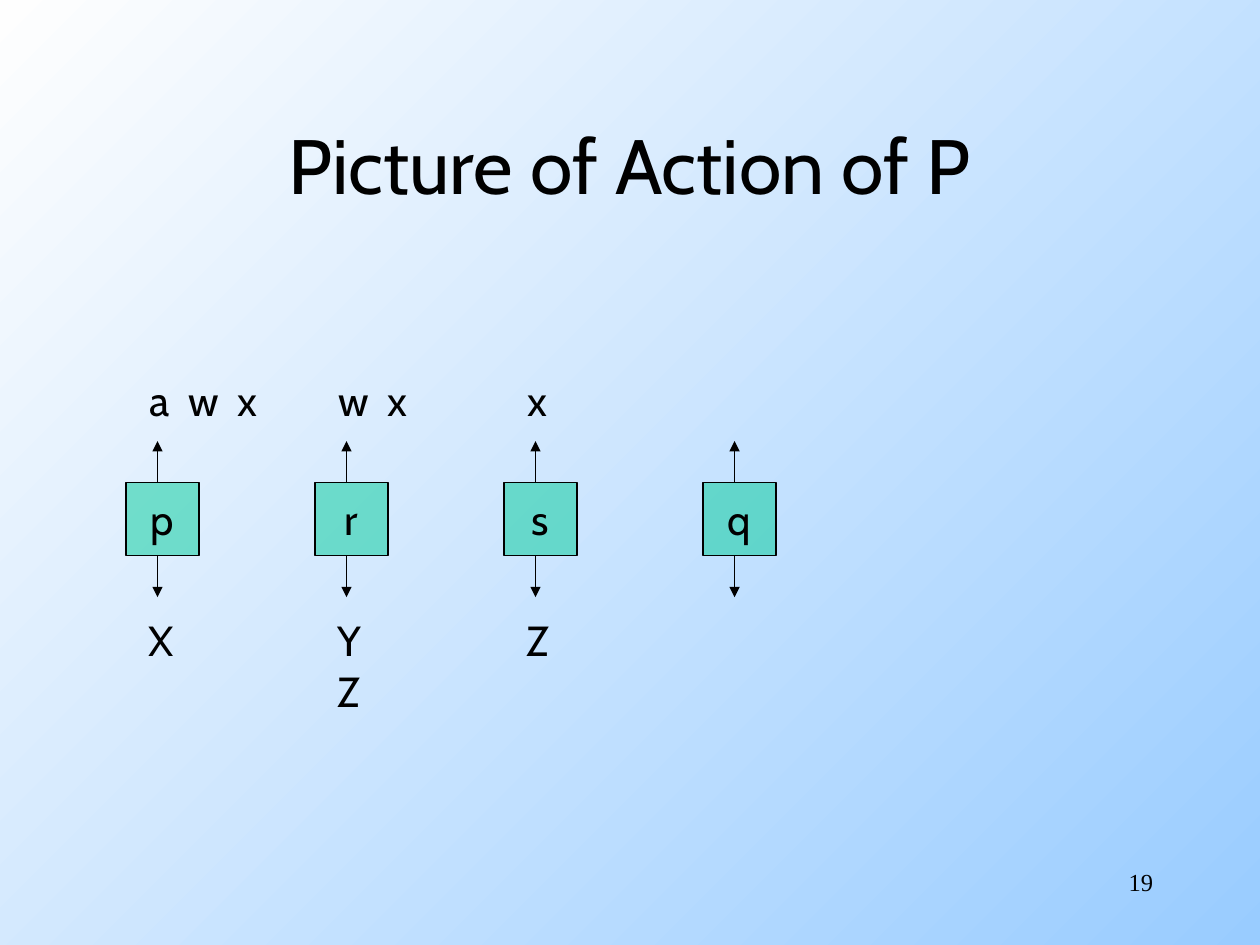
from itertools import accumulate

from lxml.etree import SubElement
from pptx import Presentation
from pptx.dml.color import RGBColor as Color
from pptx.enum.shapes import MSO_CONNECTOR as Connector, MSO_SHAPE as Shape
from pptx.enum.text import MSO_ANCHOR as Anchor, PP_ALIGN as Align
from pptx.oxml.ns import qn
from pptx.util import Inches, Pt

COLORS = {"ink": "000000", "state": "00CC99", "sky": "99CCFF", "light": "FEFEFE"}
LETTER_STEP = {"a": 0.31, "w": 0.39}
STATES = [
    (1, "p", "awx", "X"),
    (2.5, "r", "wx", "YZ"),
    (4, "s", "x", "Z"),
    (5.58, "q", "", ""),
]


def color(name):
    """Return the named palette colour."""
    return Color.from_string(COLORS[name])


def style(para, size, font="Cabin", align=Align.LEFT):
    """Format a paragraph and its runs."""
    para.alignment = align
    for span in para.runs:
        span.font.size = Pt(size)
        span.font.name = font
        span.font.color.rgb = color("ink")


def add_text(shapes, bounds, lines, size, font="Cabin", align=Align.LEFT, anchor=Anchor.TOP):
    """Add a text box with one paragraph per line."""
    box = shapes.add_textbox(*map(Inches, bounds))
    frame = box.text_frame
    frame.word_wrap = True
    frame.vertical_anchor = anchor
    frame.text = "\n".join(lines)
    for para in frame.paragraphs:
        style(para, size, font, align)
    return box


def add_arrow(shapes, x, start, end):
    """Add a vertical arrow."""
    arrow = shapes.add_connector(
        Connector.STRAIGHT, Inches(x), Inches(start), Inches(x), Inches(end))
    arrow.line.color.rgb = color("ink")
    arrow.line.width = Pt(0.75)
    SubElement(arrow.line._get_or_add_ln(), qn("a:tailEnd"), type="triangle")
    SubElement(arrow._element.spPr, qn("a:effectLst"))


def add_input(shapes, left, top, letters):
    """Add the remaining input, its letters set apart by tab stops."""
    box = add_text(shapes, (left, top, 1.17, 0.5), ["\t".join(letters)], 24)
    stops = SubElement(box.text_frame.paragraphs[0]._p.get_or_add_pPr(), qn("a:tabLst"))
    for position in accumulate(LETTER_STEP[letter] for letter in letters[:-1]):
        SubElement(stops, qn("a:tab"), pos=str(Inches(position)), algn="l")


def add_state(page, left, top, name, letters, stack):
    """Add a state square with its input above and its stack below."""
    side, reach = 0.58, 0.33
    shapes = page.shapes.add_group_shape().shapes
    square = shapes.add_shape(Shape.RECTANGLE, *map(Inches, (left, top, side, side)))
    square.shadow.inherit = False
    square.fill.solid()
    square.fill.fore_color.rgb = color("state")
    tint = square._element.spPr.find(".//" + qn("a:srgbClr"))
    SubElement(tint, qn("a:alpha"), val="50000")
    square.line.color.rgb = color("ink")
    square.line.width = Pt(0.75)
    frame = square.text_frame
    frame.word_wrap = False
    frame.vertical_anchor = Anchor.MIDDLE
    frame.text = name
    style(frame.paragraphs[0], 24, align=Align.CENTER)

    add_arrow(shapes, left + 0.25, top + side, top + side + reach)
    add_arrow(shapes, left + 0.25, top, top - reach)
    if letters:
        add_input(shapes, left + 0.09, top - 0.91, letters)
    if stack:
        height = 0.1 + 0.4 * len(stack)
        add_text(shapes, (left + 0.08, top + 1, 0.45, height), stack, 24)


def add_background(page):
    """Fill the page with a diagonal gradient."""
    fill = page.background.fill
    fill.gradient()
    fill.gradient_angle = 135
    for stop, name, position in zip(fill.gradient_stops, ("sky", "light"), (0, 1)):
        stop.color.rgb = color(name)
        stop.position = position


def main():
    """Build and save the deck."""
    deck = Presentation()
    deck.slide_width, deck.slide_height = Inches(10), Inches(7.5)
    page = deck.slides.add_slide(deck.slide_layouts[6])
    add_background(page)
    add_text(page.shapes, (0.75, 0.67, 8.5, 1.25), ["Picture of Action of P"], 44,
             align=Align.CENTER, anchor=Anchor.MIDDLE)
    for left, name, letters, stack in STATES:
        add_state(page, left, 3.83, name, letters, stack)
    add_text(page.shapes, (7.17, 6.83, 2.08, 0.5), ["19"], 14,
             "Times New Roman", Align.RIGHT)
    deck.save("out.pptx")


if __name__ == "__main__":
    main()
